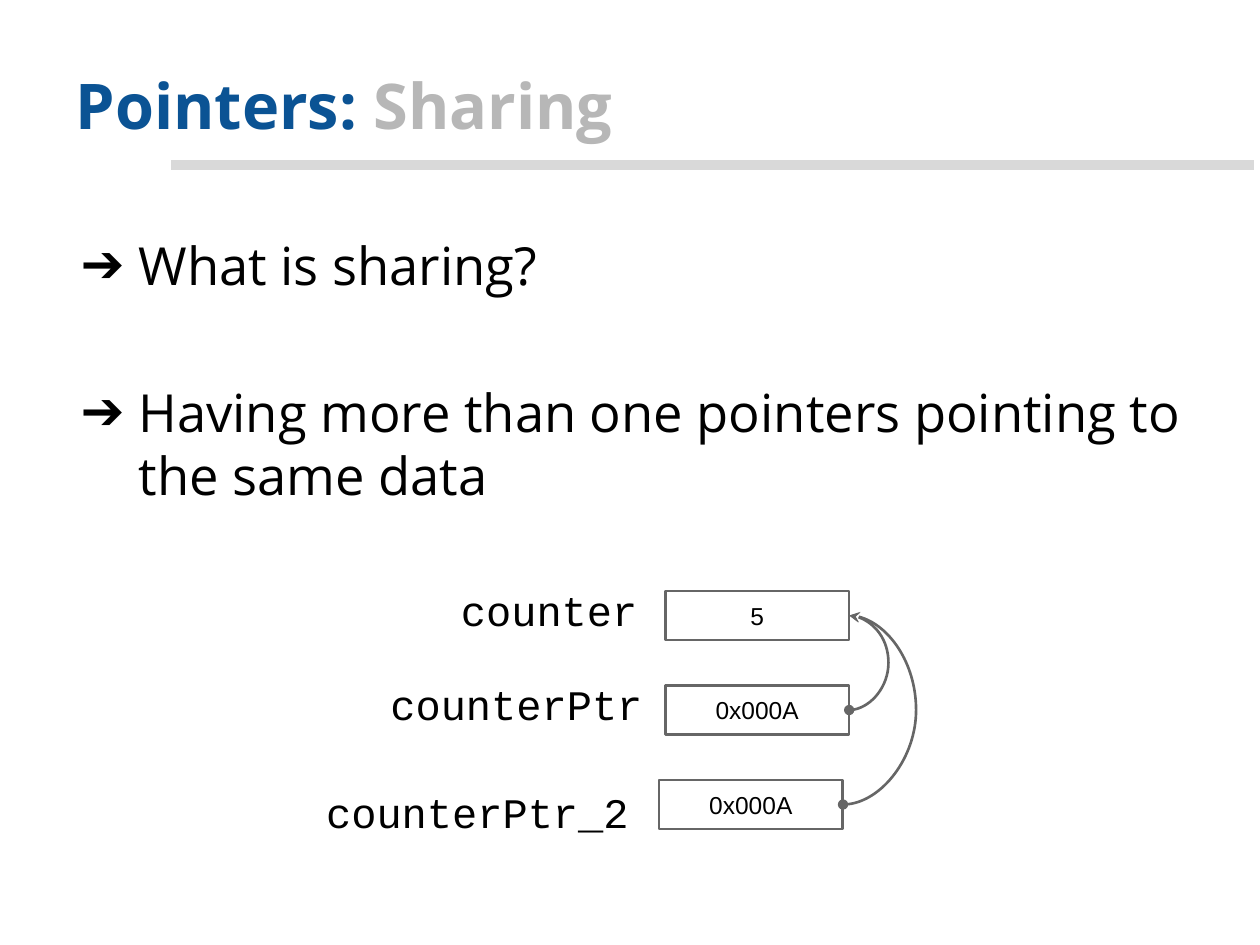
from dataclasses import dataclass
from pptx import Presentation
from pptx.dml.color import RGBColor
from pptx.enum.shapes import MSO_CONNECTOR as Conn, MSO_SHAPE as Shape
from pptx.enum.text import MSO_ANCHOR as Anchor, MSO_AUTO_SIZE as AutoSize, PP_ALIGN as Align
from pptx.oxml.ns import qn
from pptx.util import Emu, Inches, Pt
from lxml.etree import SubElement


@dataclass(frozen=True)
class Theme:
    blue: str = "0B5394"
    grey: str = "B7B7B7"
    rule: str = "D9D9D9"
    line: str = "666666"
    ink: str = "000000"
    paper: str = "FFFFFF"
    title: tuple = ("Open Sans", 36)
    body: tuple = ("Open Sans", 30)
    code: tuple = ("Courier New", 24)
    value: tuple = ("Arial", 14)


T = Theme()
TITLE = [("Pointers: ", T.blue), ("Sharing", T.grey)]
BULLETS = ["What is sharing?", "Having more than one pointers pointing to the same data"]
# name, value, label left, label width, label drop, cell left
VARIABLES = [
    ("counter", "5", 3.56, 1.67, -0.15, 5.28),
    ("counterPtr", "0x000A", 3.00, 2.23, -0.15, 5.28),
    ("counterPtr_2", "0x000A", 2.49, 2.83, -0.04, 5.23),
]
BULGES = [0.26, 0.58]  # reach of each pointer's curve beyond its cell
ROW_TOP, ROW_STEP = 4.69, 0.75
CELL_W, CELL_H, LABEL_H = 1.46, 0.39, 0.59
MIN_SPAN = Emu(600)  # a curve's bend is a share of its width, so never zero


def rgb(value):
    return RGBColor.from_string(value)


def style(font, face, color, bold=False):
    name, size = face
    for key, value in dict(name=name, size=Pt(size), bold=bold).items():
        setattr(font, key, value)
    font.color.rgb = rgb(color)


def place(sp, *box):
    for key, value in zip(("left", "top", "width", "height"), box):
        setattr(sp, key, Inches(value))


def frame(sp, anchor):
    tf = sp.text_frame
    inset = Inches(0.1)
    settings = dict(word_wrap=True, auto_size=AutoSize.NONE, vertical_anchor=anchor,
                    margin_left=inset, margin_right=inset,
                    margin_top=inset, margin_bottom=inset)
    for key, value in settings.items():
        setattr(tf, key, value)
    return tf


def write(tf, text, face, align):
    p = tf.paragraphs[0]
    p.alignment = align
    r = p.add_run()
    r.text = text
    style(r.font, face, T.ink)


def stroke(line, color, width):
    line.color.rgb = rgb(color)
    line.width = Pt(width)


def add_line(s, kind, start, end, color, width):
    c = s.shapes.add_connector(kind, *map(Inches, start + end))
    stroke(c.line, color, width)
    SubElement(c._element.spPr, qn("a:effectLst"))
    return c


def add_title(s):
    place(s.shapes.title, 0.5, 0.3, 9, 0.93)
    p = frame(s.shapes.title, Anchor.BOTTOM).paragraphs[0]
    p.alignment = Align.LEFT
    for text, color in TITLE:
        r = p.add_run()
        r.text = text
        style(r.font, T.title, color, bold=True)


def add_bullets(s):
    body = s.placeholders[1]
    place(body, 0.5, 1.75, 9, 5.43)
    tf = frame(body, Anchor.TOP)
    for i, text in enumerate(BULLETS):
        p = tf.add_paragraph() if i else tf.paragraphs[0]
        p.space_before = Pt(48 if i else 0)
        pPr = p._p.get_or_add_pPr()
        pPr.set("marL", str(Inches(0.5)))
        pPr.set("indent", str(Inches(-0.46)))
        SubElement(SubElement(pPr, qn("a:buClr")), qn("a:srgbClr"), val=T.ink)
        SubElement(pPr, qn("a:buChar"), char="➔")
        r = p.add_run()
        r.text = text
        style(r.font, T.body, T.ink)


def add_variable(s, row, name, value, label_left, label_w, drop, cell_left):
    """Draw a variable's name and memory cell; return the cell."""
    top = ROW_TOP + row * ROW_STEP
    label = s.shapes.add_textbox(*map(Inches, (label_left, top + drop, label_w, LABEL_H)))
    write(frame(label, Anchor.MIDDLE), name, T.code, Align.LEFT)
    cell = s.shapes.add_shape(Shape.RECTANGLE, *map(Inches, (cell_left, top, CELL_W, CELL_H)))
    cell.shadow.inherit = False
    cell.fill.solid()
    cell.fill.fore_color.rgb = rgb(T.paper)
    stroke(cell.line, T.line, 1.5)
    write(frame(cell, Anchor.MIDDLE), value, T.value, Align.CENTER)
    return cell


def add_pointer(s, source, target, bulge):
    """Curve from the right side of source to the right side of target."""
    c = add_line(s, Conn.CURVE, (0, 0), (1, 1), T.line, 1.5)
    c.begin_connect(source, 3)
    c.end_connect(target, 3)
    c.width = max(c.width, MIN_SPAN)
    spPr = c._element.spPr
    xfrm = spPr.find(qn("a:xfrm"))
    xfrm.attrib.pop("flipV", None)
    xfrm.set("rot", "10800000")
    xfrm.set("flipH", "1")
    guides = spPr.find(qn("a:prstGeom")).get_or_add_avLst()
    bend = round(Inches(bulge) / c.width * 100000)
    SubElement(guides, qn("a:gd"), name="adj1", fmla=f"val {bend}")
    ln = c.line._get_or_add_ln()
    SubElement(ln, qn("a:headEnd"), type="oval")
    SubElement(ln, qn("a:tailEnd"), type="stealth")


def main():
    prs = Presentation()
    prs.slide_width, prs.slide_height = Inches(10), Inches(7.5)
    s = prs.slides.add_slide(prs.slide_layouts[1])
    add_line(s, Conn.STRAIGHT, (1.36, 1.31), (9.95, 1.31), T.rule, 6)
    add_title(s)
    add_bullets(s)
    target, *pointers = [add_variable(s, i, *v) for i, v in enumerate(VARIABLES)]
    for source, bulge in zip(pointers, BULGES):
        add_pointer(s, source, target, bulge)
    prs.save("out.pptx")


if __name__ == "__main__":
    main()
